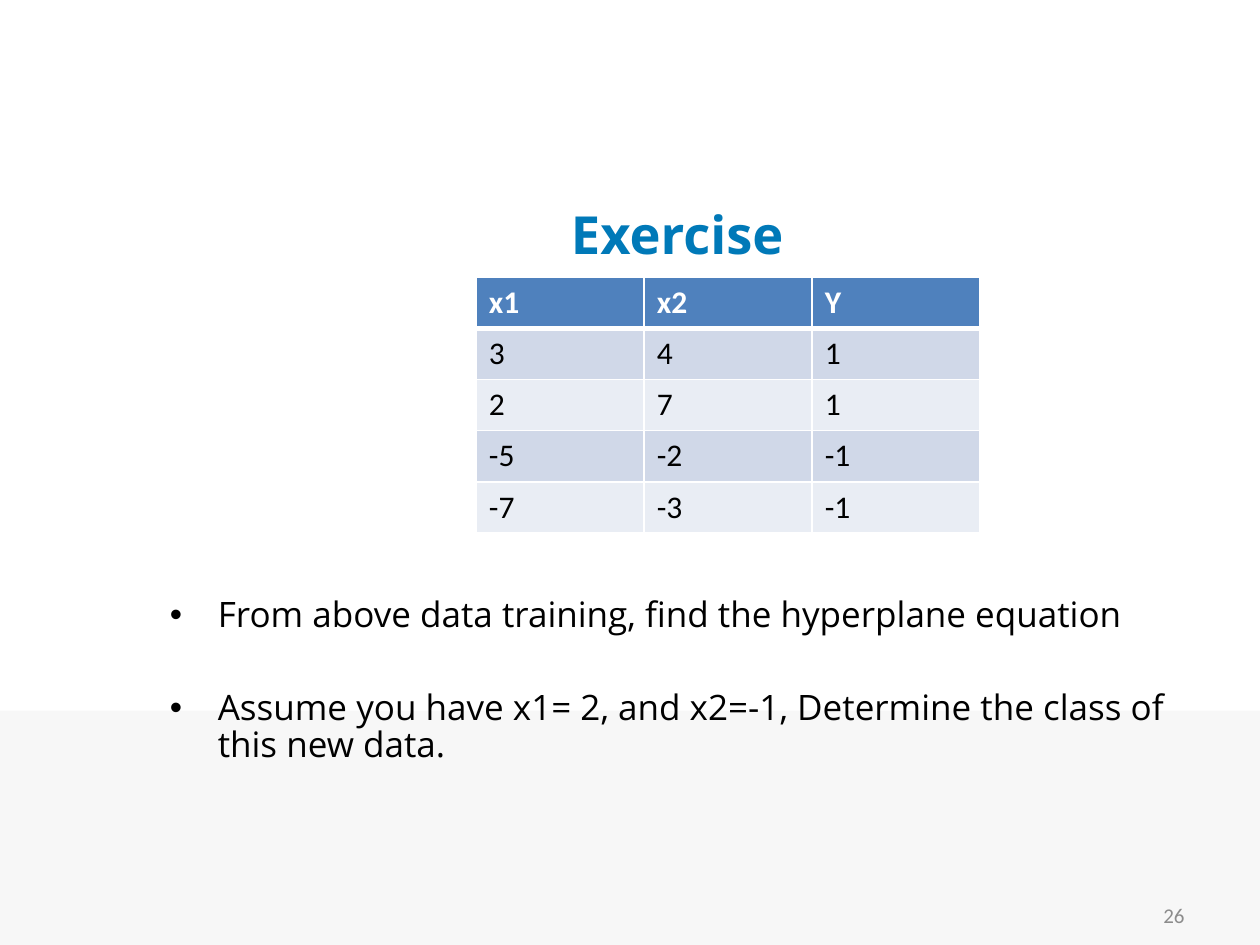
from lxml import etree
from pptx import Presentation
from pptx.dml.color import RGBColor
from pptx.enum.shapes import MSO_SHAPE as SHAPE
from pptx.enum.text import MSO_ANCHOR as ANCHOR, PP_ALIGN as ALIGN
from pptx.oxml.ns import qn
from pptx.util import Inches, Pt

HEAD_FILL, ROW_FILLS = "4F81BD", ("D0D8E8", "E9EDF4")
DATA = [("x1", "x2", "Y"), ("3", "4", "1"), ("2", "7", "1"), ("-5", "-2", "-1"), ("-7", "-3", "-1")]
TASKS = [
    "From above data training, find the hyperplane equation",
    "Assume you have x1= 2, and x2=-1, Determine the class of this new data.",
]


def rgb(value):
    """Turn a hex string into a colour."""
    return RGBColor.from_string(value)


def inches(*box):
    """Turn a box in inches into lengths."""
    return [Inches(v) for v in box]


def write(p, text, size=18, font="Calibri", color="000000", bold=False, align=ALIGN.LEFT):
    """Write one formatted run into a paragraph."""
    p.alignment = align
    r = p.add_run()
    r.text = text
    r.font.size, r.font.name, r.font.bold = Pt(size), font, bold
    r.font.color.rgb = rgb(color)


def add_bullet(p, indent):
    """Give a paragraph a hanging bullet."""
    pPr = p._p.get_or_add_pPr()
    pPr.set("marL", str(Inches(indent)))
    pPr.set("indent", str(-Inches(indent)))
    etree.SubElement(pPr, qn("a:buFont"), typeface="Arial")
    etree.SubElement(pPr, qn("a:buChar"), char="•")


def set_borders(cell, color, bottom):
    """Draw the four borders of a table cell ahead of its fill."""
    tcPr = cell._tc.get_or_add_tcPr()
    widths = {"a:lnL": 1, "a:lnR": 1, "a:lnT": 1, "a:lnB": bottom}
    for i, (tag, width) in enumerate(widths.items()):
        ln = etree.Element(qn(tag), w=str(Pt(width)))
        fill = etree.SubElement(ln, qn("a:solidFill"))
        etree.SubElement(fill, qn("a:srgbClr"), val=color)
        tcPr.insert(i, ln)


def add_band(slide, box):
    """Add the grey band at the foot of the slide."""
    sp = slide.shapes.add_shape(SHAPE.RECTANGLE, *inches(*box))
    sp.shadow.inherit = False
    sp.fill.solid()
    sp.fill.fore_color.rgb = rgb("F7F7F7")
    sp.line.fill.background()


def add_title(slide, box, text):
    """Place and format the title placeholder."""
    sp = slide.shapes.title
    sp.left, sp.top, sp.width, sp.height = inches(*box)
    tf = sp.text_frame
    tf.vertical_anchor = ANCHOR.MIDDLE
    write(tf.paragraphs[0], text, size=30, font="Open Sans", color="0079B8", bold=True, align=ALIGN.CENTER)


def add_data_table(slide, box, rows):
    """Add the training data table with banded rows."""
    table = slide.shapes.add_table(len(rows), len(rows[0]), *inches(*box)).table
    for i, row in enumerate(rows):
        head = i == 0
        for j, text in enumerate(row):
            cell = table.cell(i, j)
            cell.fill.solid()
            cell.fill.fore_color.rgb = rgb(HEAD_FILL if head else ROW_FILLS[(i - 1) % 2])
            set_borders(cell, "FFFFFF", 3 if i < 1 else 1)
            write(cell.text_frame.paragraphs[0], text, color="FFFFFF" if head else "000000", bold=head)


def add_tasks(slide, box, tasks):
    """Add the bulleted exercise tasks."""
    tf = slide.shapes.add_textbox(*inches(*box)).text_frame
    tf.word_wrap = True
    for i, task in enumerate(tasks):
        p = tf.add_paragraph() if i else tf.paragraphs[0]
        p.line_spacing = 0.88
        p.space_before = Pt(32 if i else 4)
        add_bullet(p, 0.38)
        write(p, task, size=20, font="Open Sans")


def add_page_number(slide, box, number):
    """Add the page number at the lower right."""
    tf = slide.shapes.add_textbox(*inches(*box)).text_frame
    tf.word_wrap = True
    tf.vertical_anchor = ANCHOR.MIDDLE
    write(tf.paragraphs[0], number, size=12, color="8C8C8C", align=ALIGN.RIGHT)


def main():
    """Build and save the exercise slide."""
    prs = Presentation()
    prs.slide_width, prs.slide_height = inches(10, 7.5)
    slide = prs.slides.add_slide(prs.slide_layouts[5])
    add_band(slide, (0, 5.64, 10, 1.86))
    add_title(slide, (1.25, 1.5, 8.25, 0.7), "Exercise")
    add_page_number(slide, (7.17, 7.06, 2.33, 0.4), "26")
    add_data_table(slide, (3.78, 2.2, 4, 2.03), DATA)
    add_tasks(slide, (1.25, 4.7, 8.32, 2.38), TASKS)
    prs.save("out.pptx")


if __name__ == "__main__":
    main()
